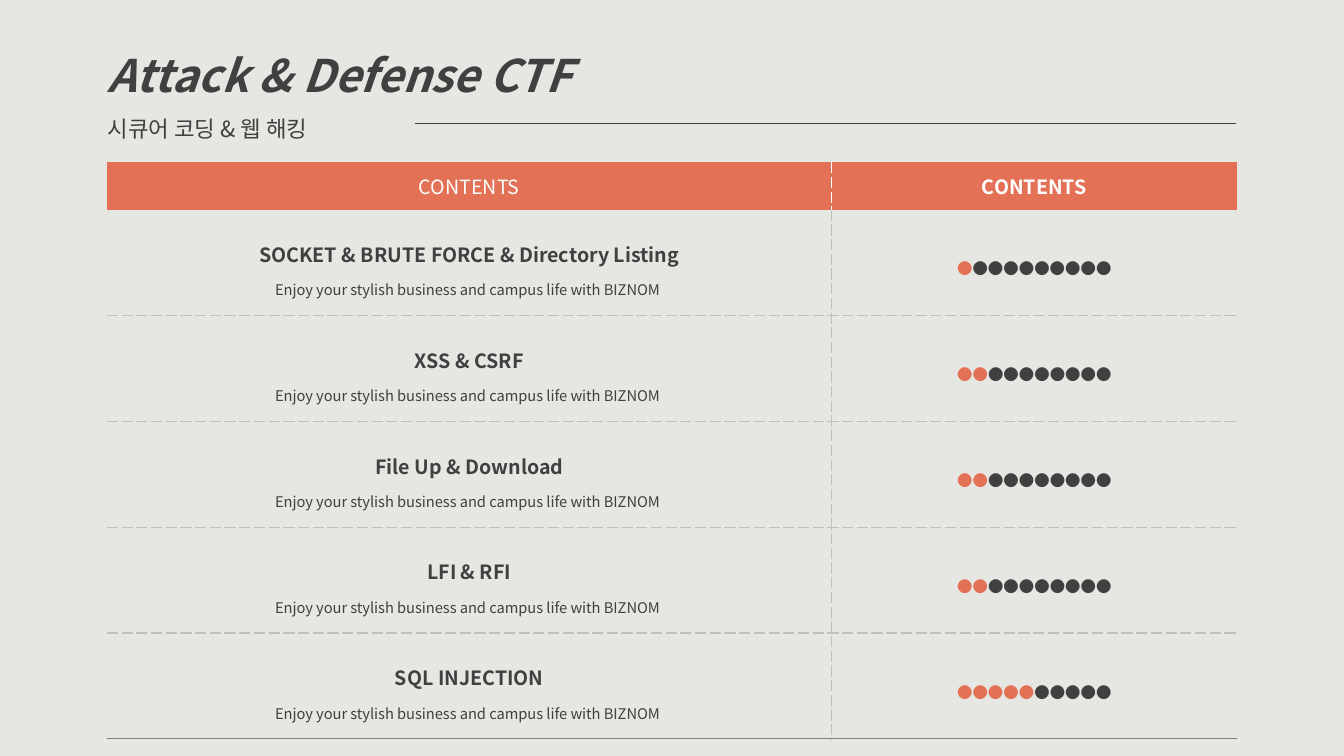
from lxml.etree import SubElement
from pptx import Presentation
from pptx.dml.color import RGBColor
from pptx.enum.shapes import MSO_CONNECTOR
from pptx.enum.text import MSO_ANCHOR, PP_ALIGN
from pptx.oxml.ns import qn
from pptx.util import Inches, Pt

FONT = "Noto Sans CJK KR"
COLORS = {"back": "E6E7E2", "dark": "404040", "coral": "E37156",
          "white": "FFFFFF", "light": "BFBFBF", "gray": "808080"}
TAGLINE = "Enjoy your stylish business and campus life with BIZNOM "
TOPICS = [("SOCKET & BRUTE FORCE & Directory Listing", 1),
          ("XSS & CSRF", 2),
          ("File Up & Download", 2),
          ("LFI & RFI", 2),
          ("SQL INJECTION", 5)]
DOTS = 10


def add_run(para, text, size, color, bold=False, italic=False):
    run = para.add_run()
    run.text = text
    font = run.font
    font.name, font.size, font.bold, font.italic = FONT, Pt(size), bold, italic
    font.color.rgb = RGBColor.from_string(COLORS[color])
    SubElement(font._element, qn("a:ea"), typeface=FONT)


def set_edges(cell, edges):
    props = cell._tc.get_or_add_tcPr()
    for side in "LRTB":
        color, width, dash = edges.get(side, (None, 0, None))
        line = SubElement(props, qn(f"a:ln{side}"), w=str(Pt(width)))
        if color:
            fill = SubElement(line, qn("a:solidFill"))
            SubElement(fill, qn("a:srgbClr"), val=COLORS[color])
            SubElement(line, qn("a:prstDash"), val=dash)
        else:
            SubElement(line, qn("a:noFill"))


# Slide
deck = Presentation()
deck.slide_width, deck.slide_height = Inches(13.33), Inches(7.5)
slide = deck.slides.add_slide(deck.slide_layouts[6])
slide.background.fill.solid()
slide.background.fill.fore_color.rgb = RGBColor.from_string(COLORS["back"])

# Table frame
rows = len(TOPICS) + 1
table = slide.shapes.add_table(rows, 2, Inches(1.06), Inches(1.61),
                               Inches(11.21), Inches(5.73)).table
table.first_row = table.horz_banding = False
for col, width in zip(table.columns, (7.19, 4.02)):
    col.width = Inches(width)
for index, row in enumerate(table.rows):
    row.height = Inches(1.05 if index else 0.47)

# Borders and fills
for index in range(rows):
    for col, inner in enumerate("RL"):
        cell = table.cell(index, col)
        cell.vertical_anchor = MSO_ANCHOR.MIDDLE
        edges = {inner: ("light" if index else "white", 0.75, "sysDash")}
        if index > 1:
            edges["T"] = ("light", 1, "sysDash")
        if index == rows - 1:
            edges["B"] = ("gray", 1, "solid")
        elif index:
            edges["B"] = ("light", 1, "sysDash")
        set_edges(cell, edges)
        if index:
            cell.fill.background()
        else:
            cell.fill.solid()
            cell.fill.fore_color.rgb = RGBColor.from_string(COLORS["coral"])

# Header text
for col, bold in enumerate((False, True)):
    para = table.cell(0, col).text_frame.paragraphs[0]
    para.alignment = PP_ALIGN.CENTER
    add_run(para, "CONTENTS", 14, "white", bold)

# Topics and ratings
for index, (topic, score) in enumerate(TOPICS, 1):
    frame = table.cell(index, 0).text_frame
    head, note = frame.paragraphs[0], frame.add_paragraph()
    rating = table.cell(index, 1).text_frame.paragraphs[0]
    for para in (head, note, rating):
        para.alignment = PP_ALIGN.CENTER
        para.line_spacing = 1.5
    add_run(head, topic, 14, "dark", True)
    add_run(note, TAGLINE, 10.5, "dark")
    add_run(rating, "●" * score, 11, "coral")
    add_run(rating, "●" * (DOTS - score), 11, "dark")

# Title and subtitle
frame = slide.shapes.add_textbox(Inches(0.97), Inches(0.16),
                                 Inches(6.3), Inches(1.26)).text_frame
frame.word_wrap = True
title, sub = frame.paragraphs[0], frame.add_paragraph()
title.line_spacing = sub.line_spacing = 1.5
add_run(title, "Attack & Defense CTF", 32, "dark", True, True)
add_run(sub, "시큐어 코딩 & 웹 해킹", 16, "dark")

# Rule beside the subtitle
rule = slide.shapes.add_connector(MSO_CONNECTOR.STRAIGHT, Inches(4.12),
                                  Inches(1.22), Inches(12.26), Inches(1.22))
rule.line.color.rgb = RGBColor.from_string(COLORS["dark"])
rule.line.width = Pt(0.5)
SubElement(rule._element.spPr, qn("a:effectLst"))

deck.save("out.pptx")
